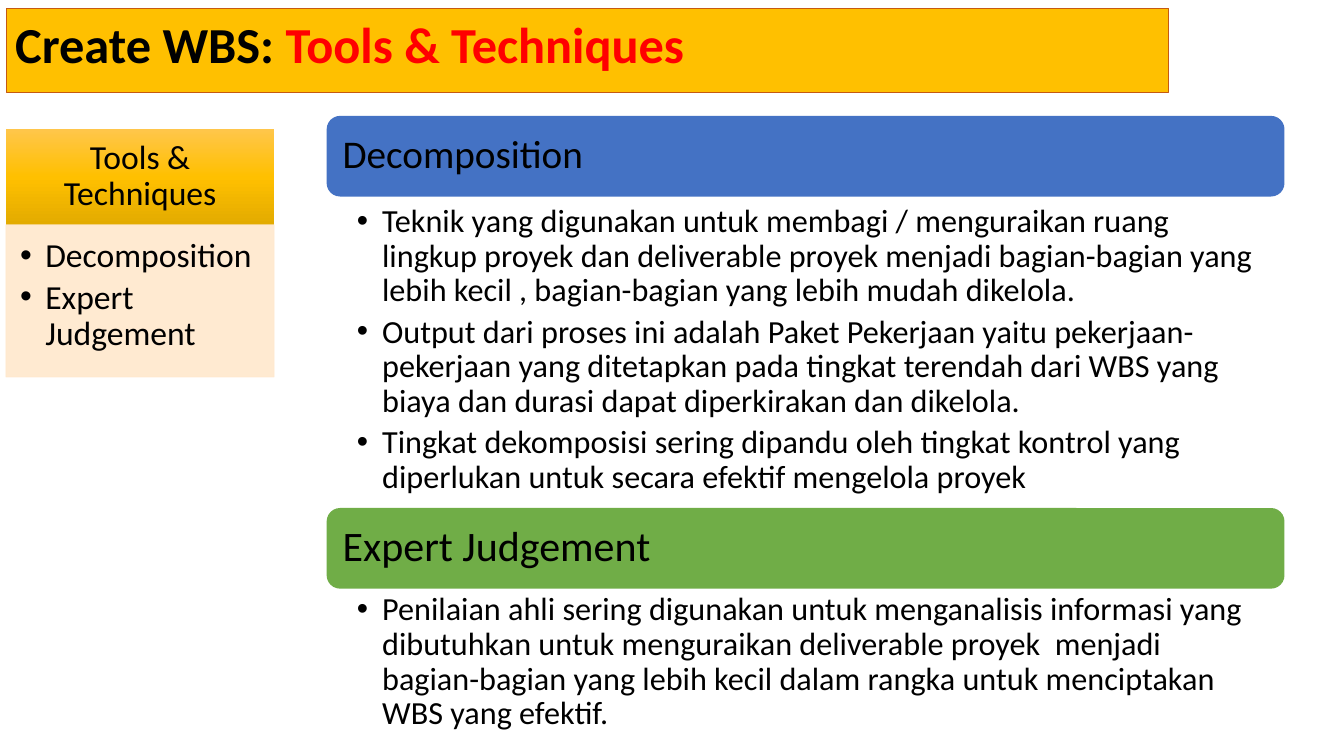
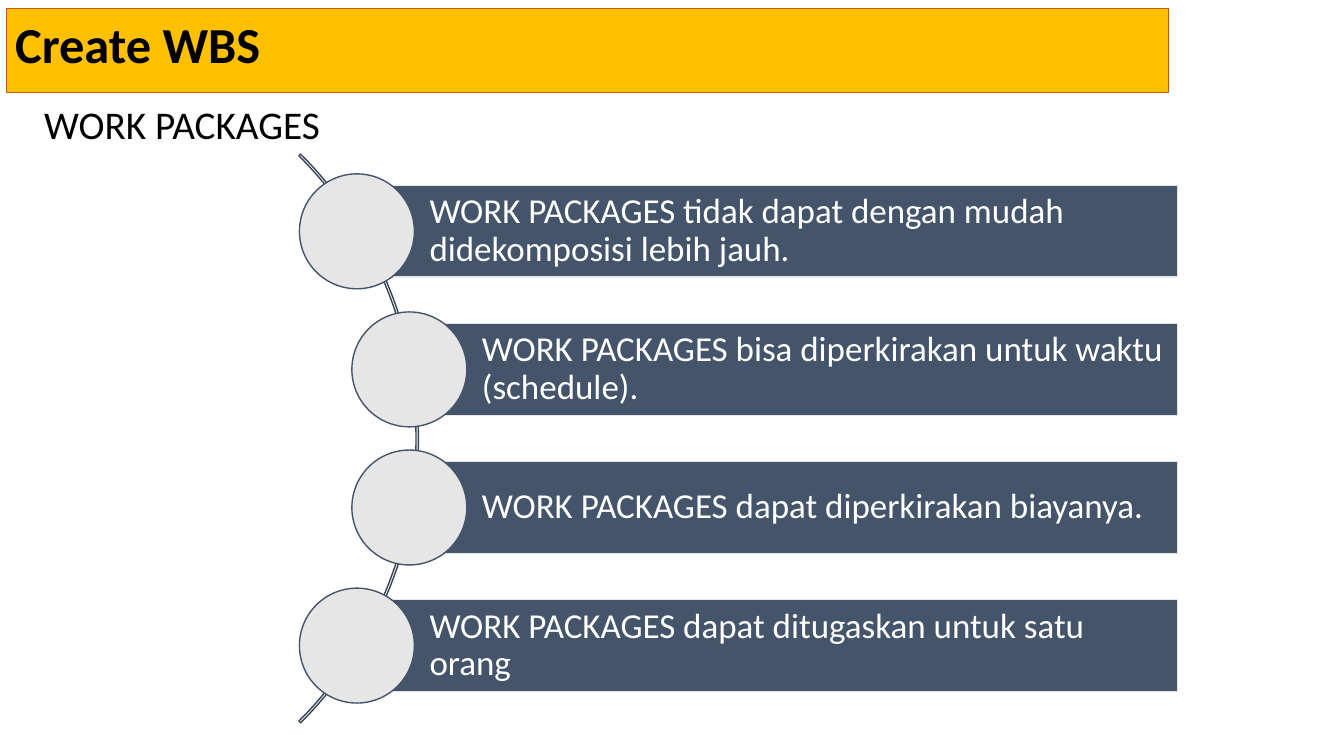
from copy import deepcopy
from dataclasses import dataclass

from lxml import etree
from pptx import Presentation
from pptx.dml import color as dml
from pptx.enum import shapes, text
from pptx.oxml import ns
from pptx.util import Inches, Pt

FONT = "Calibri"
BLACK, WHITE, RED = "000000", "FFFFFF", "FF0000"
GOLD, RUST, CREAM = "FFC000", "C55A11", "FFE8CC"
BLUE, GREEN = "4472C4", "70AD47"
SLATE, PALE, ARC = "44546A", "E7E6E6", "364355"
KIND = shapes.MSO_SHAPE
LEFT, CENTER = text.PP_ALIGN.LEFT, text.PP_ALIGN.CENTER
TOP, MIDDLE = text.MSO_ANCHOR.TOP, text.MSO_ANCHOR.MIDDLE


@dataclass
class Topic:
    head: str
    size: int
    fill: str
    top: float
    body: float
    height: float
    items: list[str]


@dataclass
class Step:
    left: float
    label: str


TOPICS = [
    Topic("Decomposition", 28, BLUE, 1.15, 1.99, 3.06, [
        "Teknik yang digunakan untuk membagi / menguraikan ruang lingkup proyek dan "
        "deliverable proyek menjadi bagian-bagian yang lebih kecil , bagian-bagian "
        "yang lebih mudah dikelola.",
        "Output dari proses ini adalah Paket Pekerjaan yaitu pekerjaan-pekerjaan yang "
        "ditetapkan pada tingkat terendah dari WBS yang biaya dan durasi dapat "
        "diperkirakan dan dikelola.",
        "Tingkat dekomposisi sering dipandu oleh tingkat kontrol yang diperlukan "
        "untuk secara efektif mengelola proyek",
    ]),
    Topic("Expert Judgement", 30, GREEN, 5.04, 5.84, 1.49, [
        "Penilaian ahli sering digunakan untuk menganalisis informasi yang dibutuhkan "
        "untuk menguraikan deliverable proyek  menjadi bagian-bagian yang lebih kecil "
        "dalam rangka untuk menciptakan WBS yang efektif.",
    ]),
]

STEPS = [
    Step(3.54, "WORK PACKAGES tidak dapat dengan mudah didekomposisi lebih jauh."),
    Step(4.06, "WORK PACKAGES bisa diperkirakan untuk waktu (schedule)."),
    Step(4.06, "WORK PACKAGES dapat diperkirakan biayanya."),
    Step(3.54, "WORK PACKAGES dapat ditugaskan untuk satu orang"),
]


def rgb(code: str) -> dml.RGBColor:
    return dml.RGBColor.from_string(code)


def paint(shape, fill: str = "", line: str = "", width: float = 1) -> None:
    if fill:
        shape.fill.solid()
        shape.fill.fore_color.rgb = rgb(fill)
    else:
        shape.fill.background()
    if line:
        shape.line.color.rgb = rgb(line)
        shape.line.width = Pt(width)
    else:
        shape.line.fill.background()


def fade(shape, share: int) -> None:
    for tint in shape.element.spPr.iter(ns.qn("a:srgbClr")):
        etree.SubElement(tint, ns.qn("a:alpha"), val=str(share * 1000))


def blend(shape, *codes: str) -> None:
    shape.fill.gradient()
    shape.fill.gradient_angle = 270
    stops = shape.element.spPr.find(ns.qn("a:gradFill")).find(ns.qn("a:gsLst"))
    while len(stops) < len(codes):
        stops.append(deepcopy(stops[0]))
    for i, (stop, code) in enumerate(zip(shape.fill.gradient_stops, codes)):
        stop.color.rgb = rgb(code)
        stop.position = i / (len(codes) - 1)


def draw(slide, kind, box: tuple, fill: str = "", line: str = "", width: float = 1):
    shape = slide.shapes.add_shape(kind, *map(Inches, box))
    shape.shadow.inherit = False
    paint(shape, fill, line, width)
    return shape


def label(slide, box: tuple):
    return slide.shapes.add_textbox(*map(Inches, box))


def bullet(para) -> None:
    props = para._p.get_or_add_pPr()
    props.set("marL", str(Inches(0.25)))
    props.set("indent", str(-Inches(0.25)))
    etree.SubElement(props, ns.qn("a:buFont"), typeface="Arial")
    etree.SubElement(props, ns.qn("a:buChar"), char="•")


def write(shape, *lines: str, size: float, color: str = BLACK, accent: str = "",
          bold: bool = False, align=LEFT, anchor=TOP, pad: tuple = (0.1, 0.05, 0.1, 0.05),
          lead: float = 0.9, after: float = 0, dots: bool = False, wrap: bool = True,
          grow: bool = False) -> None:
    frame = shape.text_frame
    frame.word_wrap = wrap
    frame.auto_size = (text.MSO_AUTO_SIZE.SHAPE_TO_FIT_TEXT if grow
                       else text.MSO_AUTO_SIZE.NONE)
    frame.vertical_anchor = anchor
    (frame.margin_left, frame.margin_top,
     frame.margin_right, frame.margin_bottom) = map(Inches, pad)
    for i, line in enumerate(lines):
        para = frame.add_paragraph() if i else frame.paragraphs[0]
        para.alignment, para.line_spacing, para.space_after = align, lead, Pt(after)
        if dots:
            bullet(para)
        for part, tint in ((line, color), (accent, RED)):
            if part:
                run = para.add_run()
                run.text = part
                run.font.name, run.font.size, run.font.bold = FONT, Pt(size), bold
                run.font.color.rgb = rgb(tint)


def start(deck, head: str, accent: str = ""):
    slide = deck.slides.add_slide(deck.slide_layouts[5])
    title = slide.shapes.title
    title.left, title.top, title.width, title.height = map(
        Inches, (0.06, 0.08, 11.53, 0.7))
    paint(title, GOLD, RUST, 0.75)
    write(title, head, accent=accent, size=36, bold=True, lead=1, grow=True,
          pad=(0.09, 0.05, 0.09, 0.05))
    return slide


def tools(deck) -> None:
    slide = start(deck, "Create WBS: ", "Tools & Techniques")
    head = draw(slide, KIND.RECTANGLE, (0.06, 1.28, 2.66, 0.95))
    blend(head, "FFC64B", GOLD, "E3AB00")
    write(head, "Tools & Techniques", size=24, align=CENTER, anchor=MIDDLE,
          pad=(0.19, 0.11, 0.19, 0.11))
    body = draw(slide, KIND.RECTANGLE, (0.06, 2.23, 2.66, 1.51), CREAM, CREAM, 0.5)
    fade(body, 90)
    write(body, *(topic.head for topic in TOPICS), size=24, after=3.6, dots=True,
          pad=(0.14, 0.14, 0.19, 0.21))
    for topic in TOPICS:
        bar = draw(slide, KIND.ROUNDED_RECTANGLE, (3.24, topic.top, 9.5, 0.8), topic.fill)
        write(bar, topic.head, size=topic.size, anchor=MIDDLE, pad=(0.12,) * 4)
        notes = label(slide, (3.24, topic.body, 9.5, topic.height))
        write(notes, *topic.items, size=23, after=4.6, dots=True,
              pad=(0.3, 0.04, 0.23, 0.04))


def work(deck) -> None:
    slide = start(deck, "Create WBS")
    write(label(slide, (0.34, 0.95, 2.96, 0.57)), "WORK PACKAGES", size=28, lead=1,
          wrap=False, grow=True)
    curve = draw(slide, KIND.BLOCK_ARC, (-3.83, 0.36, 7.98, 7.98), line=ARC)
    for i, value in enumerate((189, 27, 0.003)):
        curve.adjustments[i] = value
    right, high, disc = 11.68, 0.91, 1.14
    for i, step in enumerate(STEPS):
        top = 1.84 + 1.37 * i
        bar = draw(slide, KIND.RECTANGLE, (step.left, top, right - step.left, high),
                   SLATE, PALE)
        write(bar, step.label, size=25, color=WHITE, anchor=MIDDLE,
              pad=(0.72, 0.07, 0.07, 0.07))
        draw(slide, KIND.OVAL, (step.left - disc / 2, top + (high - disc) / 2, disc, disc),
             PALE, SLATE)


def main() -> None:
    deck = Presentation()
    deck.slide_width, deck.slide_height = Inches(13.33), Inches(7.5)
    tools(deck)
    work(deck)
    deck.save("out.pptx")


if __name__ == "__main__":
    main()
